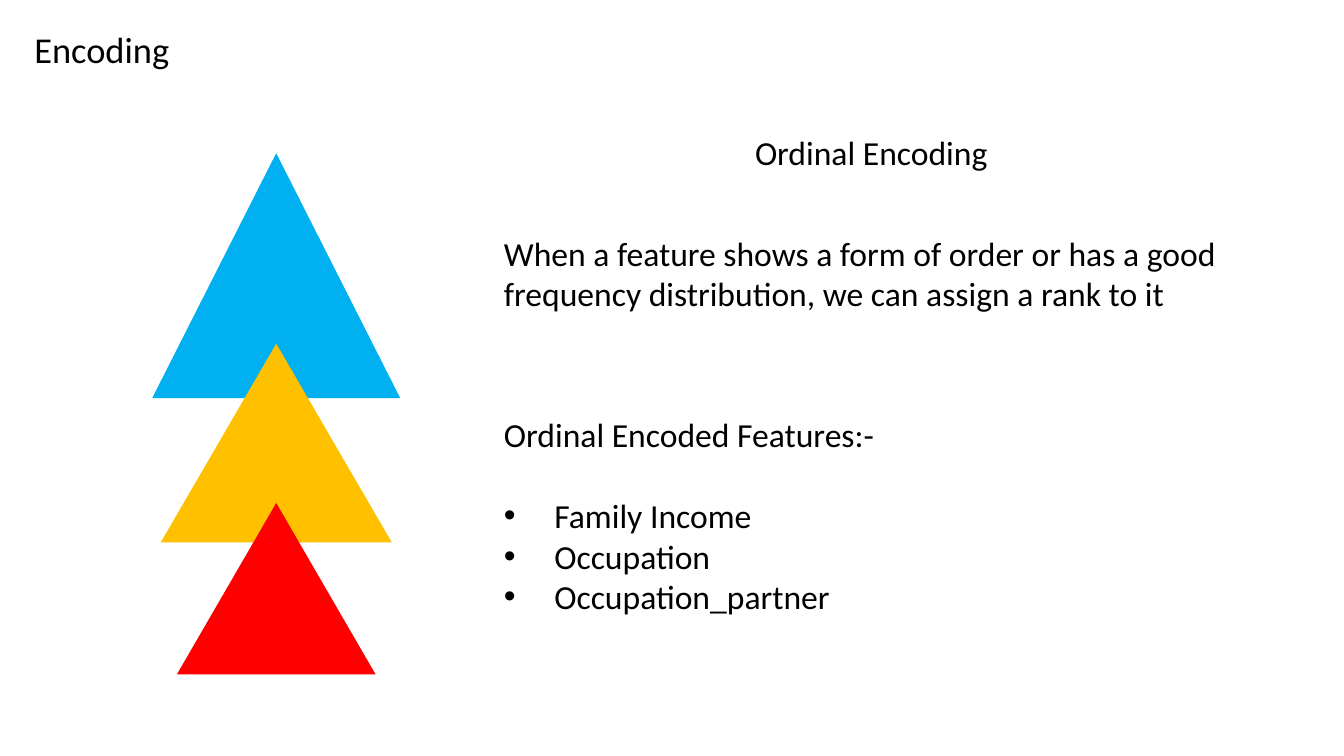
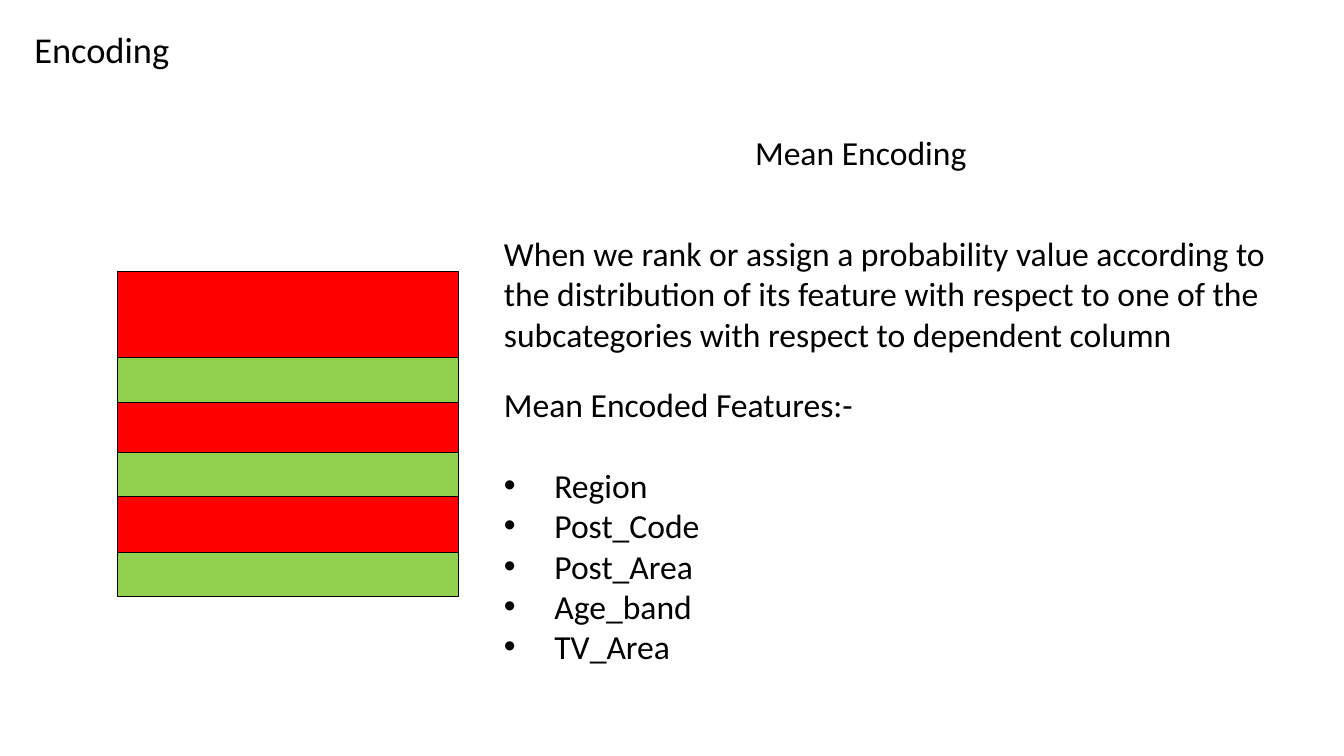
import pptx
import pptx.util
import pptx.dml.color
import pptx.enum.shapes
import pptx.enum.text
import lxml.etree
from pptx.util import Inches

COLORS = {"text": "000000", "blue": "00B0F0", "gold": "FFC000",
          "red": "FF0000", "green": "92D050"}
FONT = "Calibri"
BODY = 24
LEFT = 4.9
SHAPE = pptx.enum.shapes.MSO_SHAPE


def color(name):
    return pptx.dml.color.RGBColor.from_string(COLORS[name])


def style(para, size):
    para.alignment = pptx.enum.text.PP_ALIGN.LEFT
    para.font.name = FONT
    para.font.size = pptx.util.Pt(size)
    para.font.color.rgb = color("text")


def bullet(para):
    props = para._p.get_or_add_pPr()
    props.set("marL", str(Inches(0.5)))
    props.set("indent", str(Inches(-0.5)))
    for tag, key, value in (("a:buFont", "typeface", "Arial"),
                            ("a:buChar", "char", "•")):
        mark = lxml.etree.SubElement(props, pptx.oxml.ns.qn(tag))
        mark.set(key, value)


def fit(frame):
    frame.word_wrap = False
    frame.vertical_anchor = pptx.enum.text.MSO_ANCHOR.TOP
    frame.auto_size = pptx.enum.text.MSO_AUTO_SIZE.SHAPE_TO_FIT_TEXT


def add_text(slide, box, text):
    frame = slide.shapes.add_textbox(*map(Inches, box)).text_frame
    fit(frame)
    frame.text = text
    style(frame.paragraphs[0], BODY)
    return frame


def add_list(slide, box, head, items):
    frame = add_text(slide, box, head)
    frame.paragraphs[0].space_after = pptx.util.Pt(29)
    for item in items:
        para = frame.add_paragraph()
        para.text = item
        bullet(para)
        style(para, BODY)


def add_block(slide, kind, box, fill, line=None):
    shape = slide.shapes.add_shape(kind, *map(Inches, box))
    shape.shadow.inherit = False
    shape.fill.solid()
    shape.fill.fore_color.rgb = color(fill)
    if line:
        shape.line.color.rgb = color(line)
        shape.line.width = pptx.util.Pt(0.75)
    else:
        shape.line.fill.background()


def add_tree(slide, mid, top):
    """Stack overlapping triangles about a centre line."""
    for drop, wide, high, fill in ((0, 2.46, 2.43, "blue"),
                                   (1.89, 2.29, 1.97, "gold"),
                                   (3.47, 1.97, 1.7, "red")):
        box = (mid - wide / 2, top + drop, wide, high)
        add_block(slide, SHAPE.ISOSCELES_TRIANGLE, box, fill)


def add_bands(slide, box):
    """Lay green bands over a red box."""
    left, top, wide, high = box
    add_block(slide, SHAPE.RECTANGLE, box, "red", "text")
    for drop in (0.86, 1.8, 2.79):
        add_block(slide, SHAPE.RECTANGLE, (left, top + drop, wide, 0.44),
                  "green", "text")


def add_slide(deck, name, wide, about, size, features):
    slide = deck.slides.add_slide(deck.slide_layouts[5])
    title = slide.shapes.title
    title.left, title.top, title.width, title.height = map(
        Inches, (0.24, 0.22, 1.55, 0.54))
    title.text_frame.text = "Encoding"
    fit(title.text_frame)
    style(title.text_frame.paragraphs[0], 26)
    add_text(slide, (7.39, 1.26, wide, 0.5), f"{name} Encoding")
    add_text(slide, (LEFT, 2.26, *size), about)
    top, width, high, items = features
    add_list(slide, (LEFT, top, width, high),
             f"{name} Encoded Features:-", items)
    return slide


def main():
    deck = pptx.Presentation()
    deck.slide_width, deck.slide_height = Inches(13.33), Inches(7.5)
    ordinal = add_slide(
        deck, "Ordinal", 2.53,
        "When a feature shows a form of order or has a good\v"
        "frequency distribution, we can assign a rank to it",
        (7.33, 0.94),
        (4.06, 3.91, 2.15,
         ("Family Income", "Occupation", "Occupation_partner")))
    add_tree(ordinal, 2.74, 1.52)
    mean = add_slide(
        deck, "Mean", 2.32,
        "When we rank or assign a probability value according to \v"
        "the distribution of its feature with respect to one of the\v"
        "subcategories with respect to dependent column",
        (7.89, 1.35),
        (3.76, 3.7, 2.96,
         ("Region", "Post_Code", "Post_Area", "Age_band", "TV_Area")))
    add_bands(mean, (1.17, 2.69, 3.38, 3.22))
    deck.save("out.pptx")


if __name__ == "__main__":
    main()
